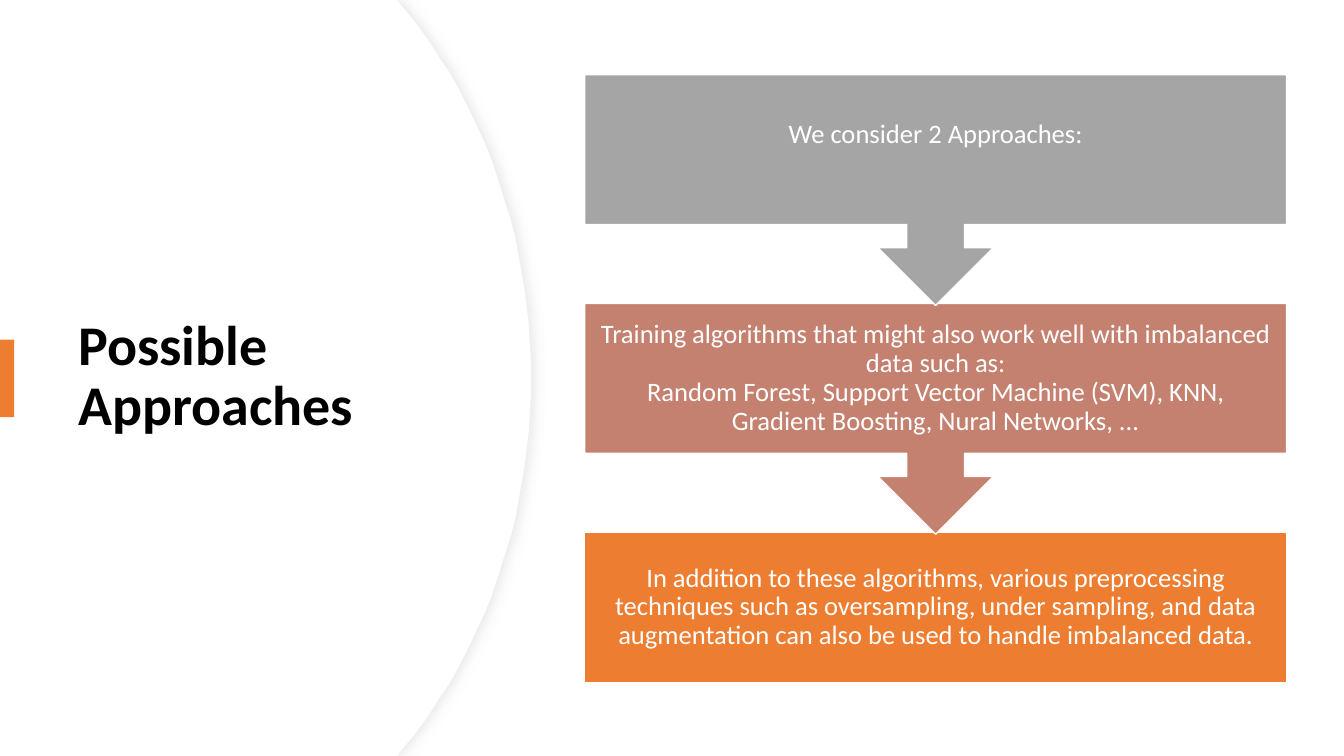
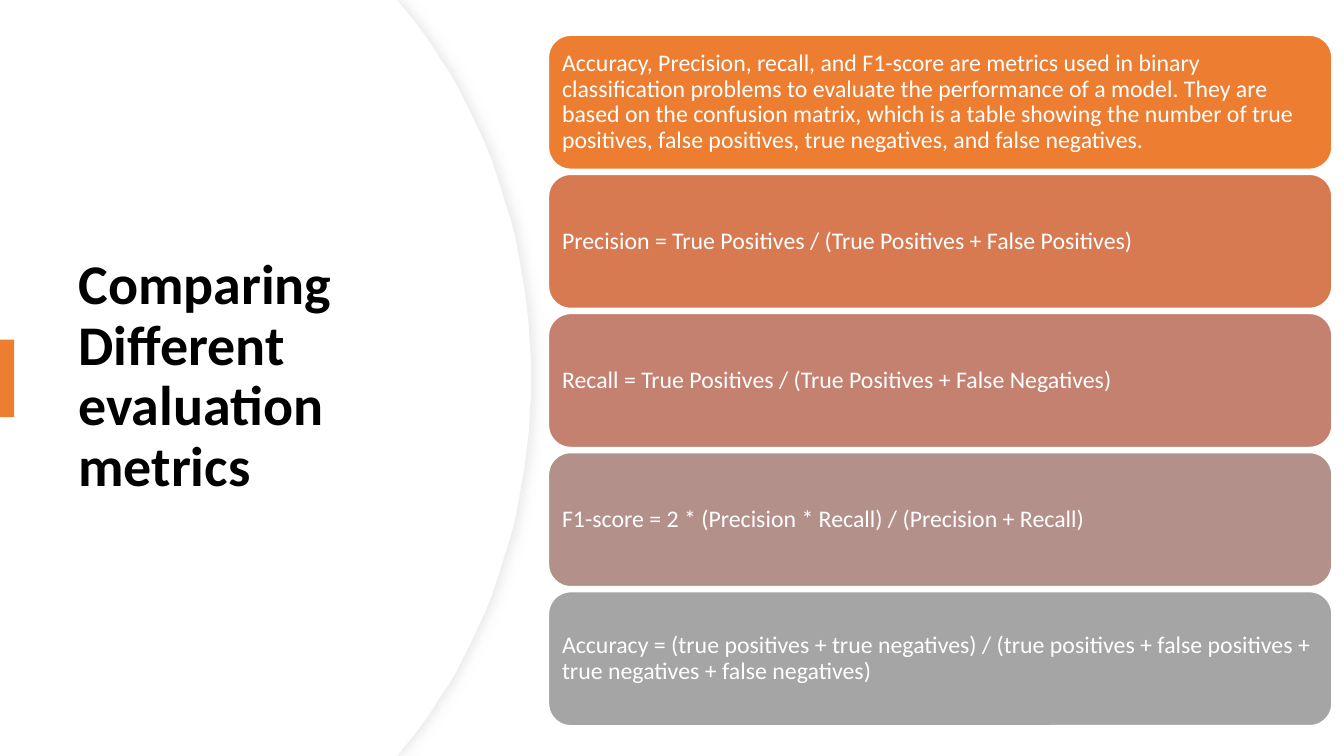
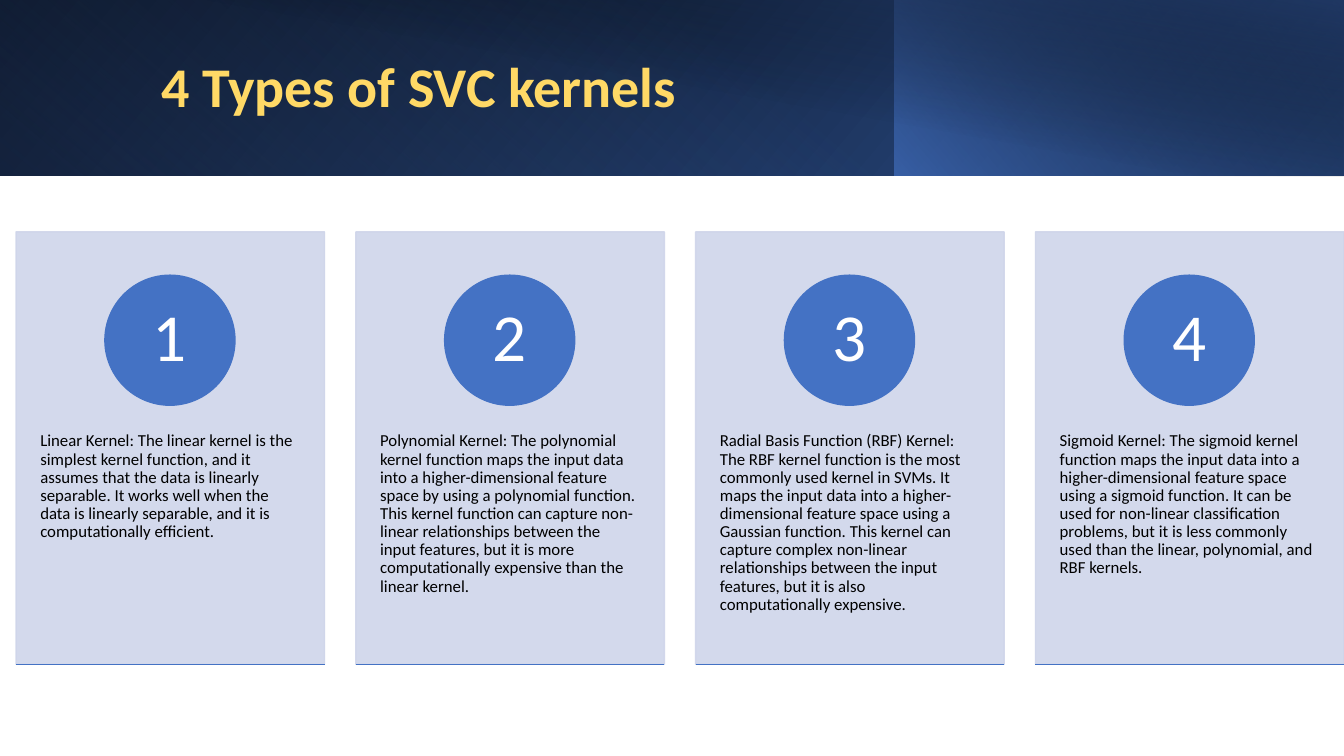
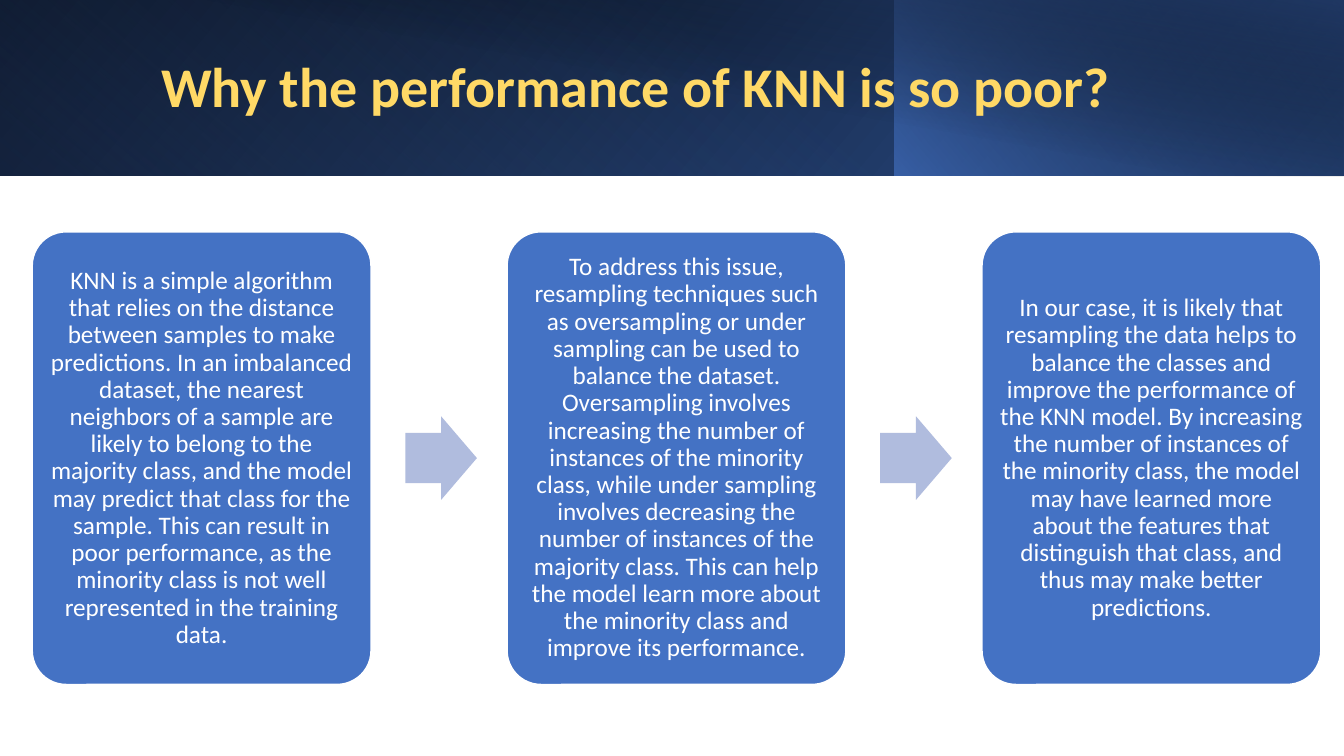
from dataclasses import dataclass

from pptx import Presentation
from pptx.dml.color import RGBColor
from pptx.enum.shapes import MSO_CONNECTOR as Connector, MSO_SHAPE as Preset
from pptx.enum.text import MSO_ANCHOR as Anchor, PP_ALIGN as Align
from pptx.oxml import parse_xml
from pptx.oxml.ns import nsdecls, qn
from pptx.util import Emu, Pt

EMU_PER_PX = 9144
SLIDE_WIDTH, SLIDE_HEIGHT = 1333, 750


@dataclass(frozen=True)
class Theme:
    font: str = "Calibri"
    white: str = "FFFFFF"
    black: str = "000000"
    orange: str = "ED7D31"
    copper: str = "D87A51"
    rose: str = "C48170"
    taupe: str = "B4908B"
    gray: str = "A5A5A5"
    rim: str = "EFEFEF"
    shadow: str = "D9D9D9"
    blue: str = "4472C4"
    deep_blue: str = "2F5597"
    navy: str = "203864"
    pale_blue: str = "CFD5EA"
    arrow_blue: str = "B0BCDE"
    gold: str = "FFD966"
    title_size: int = 40
    number_size: int = 48
    flow_size: int = 19
    step_size: int = 18
    metric_size: int = 17
    card_size: int = 12


THEME = Theme()


@dataclass(frozen=True)
class Box:
    left: int
    top: int
    width: int
    height: int

    def emu(self):
        return [px(n) for n in (self.left, self.top, self.width, self.height)]

    def inner(self, left, top, width, height):
        """Box placed relative to this one's top left corner."""
        return Box(self.left + left, self.top + top, width, height)


def px(length):
    return Emu(round(length * EMU_PER_PX))


def rgb(color):
    return RGBColor.from_string(color)


def write_text(shape, text, size, color, align=Align.LEFT, anchor=Anchor.MIDDLE,
               insets=(10, 5, 10, 5), bold=False):
    """Fill a shape with one paragraph; insets run left, top, right, bottom."""
    frame = shape.text_frame
    frame.word_wrap = True
    frame.vertical_anchor = anchor
    (frame.margin_left, frame.margin_top,
     frame.margin_right, frame.margin_bottom) = map(px, insets)
    paragraph = frame.paragraphs[0]
    paragraph.alignment = align
    paragraph.line_spacing = 0.9
    for index, line in enumerate(text.split("\n")):
        if index:
            paragraph.add_line_break()
        run = paragraph.add_run()
        run.text = line
        run.font.name = THEME.font
        run.font.size = Pt(size)
        run.font.bold = bold
        run.font.color.rgb = rgb(color)


def paint(shape, fill, line=None, width=1):
    shape.shadow.inherit = False
    shape.fill.solid()
    shape.fill.fore_color.rgb = rgb(fill)
    if line:
        shape.line.color.rgb = rgb(line)
        shape.line.width = Pt(width)
    else:
        shape.line.fill.background()


def add_preset(slide, preset, box, fill, line=None):
    shape = slide.shapes.add_shape(preset, *box.emu())
    paint(shape, fill, line)
    return shape


def set_opacity(shape, percent):
    """Apply one opacity to the fill and the line."""
    for color in shape.element.spPr.iter(qn("a:srgbClr")):
        color.append(parse_xml(f'<a:alpha {nsdecls("a")} val="{percent * 1000}"/>'))


def add_gradient(slide, box, angle, stops):
    """Borderless rectangle; stops are (position, colour, opacity), angle is clockwise."""
    shape = add_preset(slide, Preset.RECTANGLE, box, THEME.white)
    stop_xml = "".join(
        f'<a:gs pos="{position * 1000}"><a:srgbClr val="{color}">'
        f'<a:alpha val="{opacity * 1000}"/></a:srgbClr></a:gs>'
        for position, color, opacity in stops)
    gradient = parse_xml(
        f'<a:gradFill {nsdecls("a")} rotWithShape="1"><a:gsLst>{stop_xml}</a:gsLst>'
        f'<a:lin ang="{angle * 60000}" scaled="0"/></a:gradFill>')
    properties = shape.element.spPr
    properties.replace(properties.find(qn("a:solidFill")), gradient)


def add_title(slide, box, text, color):
    title = slide.shapes.add_textbox(*box.emu())
    write_text(title, text, THEME.title_size, color, bold=True)


def cubic(points, steps=24):
    """Points along a cubic curve, without its start."""
    a, b, c, d = points
    for step in range(1, steps + 1):
        t = step / steps
        u = 1 - t
        yield tuple(u**3 * p + 3 * u * u * t * q + 3 * u * t * t * r + t**3 * s
                    for p, q, r, s in zip(a, b, c, d))


def add_bulge(slide, right):
    """White panel from the left edge to a curved right side."""
    shoulder, control, middle = right - 126, right - 48, SLIDE_HEIGHT / 2
    upper = [(394, 0), (shoulder, 8)]
    upper += cubic([(shoulder, 8), (control, 102), (right, 232), (right, middle)])
    lower = [(x, SLIDE_HEIGHT - y) for x, y in reversed(upper[:-1])]
    builder = slide.shapes.build_freeform(0, 0, scale=EMU_PER_PX)
    builder.add_line_segments(upper + lower + [(0, SLIDE_HEIGHT)], close=True)
    return builder.convert_to_shape()


def side_panel(slide, title):
    rim = add_bulge(slide, 527)
    paint(rim, THEME.white, THEME.rim, 0.75)
    effects = rim.element.spPr.find(qn("a:effectLst"))
    effects.append(parse_xml(
        f'<a:outerShdw {nsdecls("a")} blurRad="{Pt(7)}" dist="{Pt(3)}" dir="0">'
        f'<a:srgbClr val="{THEME.shadow}"><a:alpha val="50000"/></a:srgbClr></a:outerShdw>'))
    paint(add_bulge(slide, 526), THEME.white)
    add_title(slide, Box(68, 127, 394, 495), title, THEME.black)
    add_preset(slide, Preset.RECTANGLE, Box(0, 337, 14, 77), THEME.orange)


def top_band(slide, title):
    band = Box(0, 0, SLIDE_WIDTH, 174)
    split = 887
    add_gradient(slide, band, 40, [(0, THEME.black, 100), (100, THEME.deep_blue, 100)])
    add_gradient(slide, band.inner(0, 0, split, 174), 130,
                 [(20, THEME.blue, 0), (100, THEME.navy, 55)])
    add_gradient(slide, band.inner(split, 0, SLIDE_WIDTH - split, 174), 320,
                 [(0, THEME.blue, 66), (100, THEME.black, 30)])
    add_gradient(slide, band.inner(50, 0, SLIDE_WIDTH - 50, 175), 280,
                 [(50, THEME.black, 0), (99, THEME.navy, 52)])
    add_title(slide, band.inner(150, 32, 1082, 113), title, THEME.gold)


def approach_flow(slide, box, stages):
    """Stack of boxes, each but the last pointing down to the next."""
    pitch, body, callout = 227, 149, 229
    last = len(stages) - 1
    for index in range(last, -1, -1):
        text, color, bottom_inset = stages[index]
        preset = Preset.RECTANGLE if index == last else Preset.DOWN_ARROW_CALLOUT
        height = body if index == last else callout
        shape = add_preset(slide, preset, box.inner(0, index * pitch, box.width, height),
                           color, THEME.white)
        write_text(shape, text, THEME.flow_size, THEME.white, Align.CENTER,
                   insets=(15, 15, 15, bottom_inset))


def metric_list(slide, box, metrics):
    gap = 5
    height = (box.height + gap) // len(metrics) - gap
    for index, (text, color) in enumerate(metrics):
        bar = add_preset(slide, Preset.ROUNDED_RECTANGLE,
                         box.inner(0, index * (height + gap), box.width, height),
                         color, THEME.white)
        write_text(bar, text, THEME.metric_size, THEME.white, insets=(7, 7, 7, 7))


def kernel_card(slide, box, number, text):
    card = add_preset(slide, Preset.RECTANGLE, box, THEME.pale_blue, THEME.pale_blue)
    set_opacity(card, 90)
    write_text(card, text, THEME.card_size, THEME.black, anchor=Anchor.TOP,
               insets=(24, 199, 24, 9))
    diameter = 129
    badge = add_preset(slide, Preset.OVAL,
                       box.inner((box.width - diameter) // 2, 43, diameter, diameter),
                       THEME.blue, THEME.blue)
    write_text(badge, str(number), THEME.number_size, THEME.white, Align.CENTER,
               insets=(10, 1, 10, 1))
    bottom = px(box.top + box.height)
    rule = slide.shapes.add_connector(Connector.STRAIGHT, px(box.left), bottom,
                                      px(box.left + box.width), bottom)
    rule.line.color.rgb = rgb(THEME.blue)
    rule.line.width = Pt(1)
    rule.element.spPr.append(parse_xml(f'<a:effectLst {nsdecls("a")}/>'))


def kernel_cards(slide, box, kernels):
    width, pitch = 306, 337
    for index, text in enumerate(kernels):
        kernel_card(slide, box.inner(index * pitch, 0, width, box.height), index + 1, text)


def step_row(slide, box, steps):
    """Rounded boxes in a row with an arrow in each gap."""
    width, pitch = 336, 471
    arrow_width, arrow_height = 71, 83
    for index, text in enumerate(steps):
        left = index * pitch
        step = add_preset(slide, Preset.ROUNDED_RECTANGLE,
                          box.inner(left, 0, width, box.height), THEME.blue, THEME.white)
        step.adjustments[0] = 0.1
        write_text(step, text, THEME.step_size, THEME.white, Align.CENTER,
                   insets=(7, 7, 7, 7))
        if index < len(steps) - 1:
            arrow = add_preset(slide, Preset.RIGHT_ARROW,
                               box.inner(left + width + 34, (box.height - arrow_height) // 2,
                                         arrow_width, arrow_height), THEME.arrow_blue)
            arrow.adjustments[0] = 0.6
            arrow.adjustments[1] = 0.5


APPROACHES = [
    ("We consider 2 Approaches:", THEME.gray, 44),
    ("Training algorithms that might also work well with imbalanced data such as:\n"
     "Random Forest, Support Vector Machine (SVM), KNN, Gradient Boosting, "
     "Nural Networks, ...", THEME.rose, 15),
    ("In addition to these algorithms, various preprocessing techniques such as "
     "oversampling, under sampling, and data augmentation can also be used to handle "
     "imbalanced data.", THEME.orange, 15),
]

METRICS = [
    ("Accuracy, Precision, recall, and F1-score are metrics used in binary classification "
     "problems to evaluate the performance of a model. They are based on the confusion "
     "matrix, which is a table showing the number of true positives, false positives, "
     "true negatives, and false negatives.", THEME.orange),
    ("Precision = True Positives / (True Positives + False Positives)", THEME.copper),
    ("Recall = True Positives / (True Positives + False Negatives)", THEME.rose),
    ("F1-score = 2 * (Precision * Recall) / (Precision + Recall)", THEME.taupe),
    ("Accuracy = (true positives + true negatives) / (true positives + false positives + "
     "true negatives + false negatives)", THEME.gray),
]

KERNELS = [
    "Linear Kernel: The linear kernel is the simplest kernel function, and it assumes that "
    "the data is linearly separable. It works well when the data is linearly separable, "
    "and it is computationally efficient.",
    "Polynomial Kernel: The polynomial kernel function maps the input data into a "
    "higher-dimensional feature space by using a polynomial function. This kernel function "
    "can capture non-linear relationships between the input features, but it is more "
    "computationally expensive than the linear kernel.",
    "Radial Basis Function (RBF) Kernel: The RBF kernel function is the most commonly used "
    "kernel in SVMs. It maps the input data into a higher-dimensional feature space using a "
    "Gaussian function. This kernel can capture complex non-linear relationships between "
    "the input features, but it is also computationally expensive.",
    "Sigmoid Kernel: The sigmoid kernel function maps the input data into a "
    "higher-dimensional feature space using a sigmoid function. It can be used for "
    "non-linear classification problems, but it is less commonly used than the linear, "
    "polynomial, and RBF kernels.",
]

KNN_STEPS = [
    "KNN is a simple algorithm that relies on the distance between samples to make "
    "predictions. In an imbalanced dataset, the nearest neighbors of a sample are likely to "
    "belong to the majority class, and the model may predict that class for the sample. "
    "This can result in poor performance, as the minority class is not well represented in "
    "the training data.",
    "To address this issue, resampling techniques such as oversampling or under sampling "
    "can be used to balance the dataset. Oversampling involves increasing the number of "
    "instances of the minority class, while under sampling involves decreasing the number "
    "of instances of the majority class. This can help the model learn more about the "
    "minority class and improve its performance.",
    "In our case, it is likely that resampling the data helps to balance the classes and "
    "improve the performance of the KNN model. By increasing the number of instances of the "
    "minority class, the model may have learned more about the features that distinguish "
    "that class, and thus may make better predictions.",
]

SLIDES = [
    (side_panel, "Possible Approaches", approach_flow, Box(580, 74, 696, 603), APPROACHES),
    (side_panel, "Comparing Different evaluation metrics", metric_list,
     Box(544, 35, 777, 685), METRICS),
    (top_band, "4 Types of SVC kernels", kernel_cards, Box(16, 230, 1317, 429), KERNELS),
    (top_band, "Why the performance of KNN is so poor?", step_row,
     Box(32, 230, 1278, 449), KNN_STEPS),
]


def main():
    presentation = Presentation()
    presentation.slide_width = px(SLIDE_WIDTH)
    presentation.slide_height = px(SLIDE_HEIGHT)
    blank = presentation.slide_layouts[6]
    for heading, title, body, box, content in SLIDES:
        slide = presentation.slides.add_slide(blank)
        heading(slide, title)
        body(slide, box, content)
    presentation.save("out.pptx")


if __name__ == "__main__":
    main()
